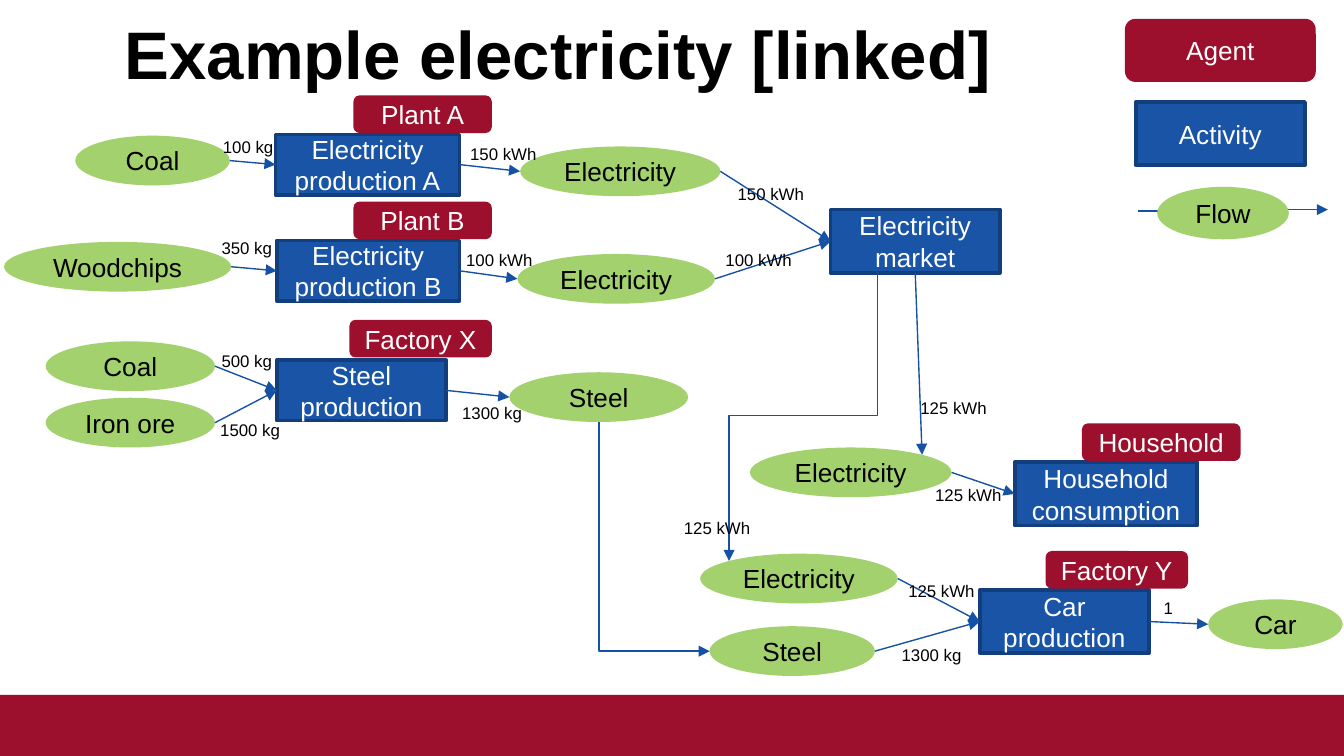
from pptx import Presentation
from pptx.dml.color import RGBColor
from pptx.enum.shapes import MSO_CONNECTOR as Link, MSO_SHAPE as Shape
from pptx.enum.text import MSO_ANCHOR as Anchor, MSO_AUTO_SIZE as AutoSize, PP_ALIGN as Align
from pptx.oxml.ns import qn
from pptx.util import Cm, Pt
from lxml.etree import SubElement

FONT = "Arial"
BLACK, WHITE, RED, LINK_BLUE = "000000", "FFFFFF", "9D102D", "1552A6"
STYLES = {
    "agent": dict(shape=Shape.ROUNDED_RECTANGLE, fill=RED, color=WHITE),
    "activity": dict(shape=Shape.RECTANGLE, fill="1954A6", color=WHITE, line="123E7B"),
    "flow": dict(shape=Shape.OVAL, fill="A2D16E", color=BLACK),
}
ACTIVITY_HEIGHT, PLANT_HEIGHT, FLOW_HEIGHT, AGENT_HEIGHT = 0.47, 0.45, 0.37, 0.28

# Lengths are in inches: left, top, width, height
LEGEND = [
    ("agent", "Agent", 8.37, 0.14, 1.42, 0.47),
    ("activity", "Activity", 8.45, 0.76, 1.26, 0.47),
    ("flow", "Flow", 8.61, 1.39, 0.98, 0.39),
]
LEGEND_LINKS = [((8.47, 1.57), (9.42, 1.57)), ((8.93, 1.56), (9.88, 1.56))]
ACTIVITIES = {
    "plant A": ("Electricity production A", 2.05, 1.0, 1.37, PLANT_HEIGHT),
    "plant B": ("Electricity production B", 2.06, 1.79, 1.36, PLANT_HEIGHT),
    "steelworks": ("Steel production", 2.06, 2.68, 1.26, PLANT_HEIGHT),
    "market": ("Electricity market", 6.18, 1.56, 1.26, ACTIVITY_HEIGHT),
    "home": ("Household consumption", 7.55, 3.44, 1.36, ACTIVITY_HEIGHT),
    "car plant": ("Car production", 7.29, 4.39, 1.26, ACTIVITY_HEIGHT),
}
FLOWS = {
    "coal A": ("Coal", 0.56, 1.01, 1.15),
    "woodchips": ("Woodchips", 0.03, 1.8, 1.69),
    "coal X": ("Coal", 0.34, 2.54, 1.26),
    "iron ore": ("Iron ore", 0.34, 2.96, 1.26),
    "power A": ("Electricity", 3.87, 1.09, 1.49),
    "power B": ("Electricity", 3.85, 1.89, 1.47),
    "steel out": ("Steel", 3.79, 2.77, 1.33),
    "power home": ("Electricity", 5.58, 3.33, 1.5),
    "power car": ("Electricity", 5.21, 4.12, 1.47),
    "steel in": ("Steel", 5.28, 4.66, 1.23),
    "car": ("Car", 8.99, 4.46, 1.0),
}
AGENTS = [
    ("Plant A", 2.63, 0.71, 1.03), ("Plant B", 2.63, 1.5, 1.03),
    ("Factory X", 2.6, 2.38, 1.06), ("Factory Y", 7.78, 4.1, 1.06),
    ("Household", 8.05, 3.15, 1.18),
]
SIDE_LINKS = [
    ("coal A", "plant A"), ("woodchips", "plant B"), ("coal X", "steelworks"),
    ("iron ore", "steelworks"), ("plant A", "power A"), ("plant B", "power B"),
    ("steelworks", "steel out"), ("power A", "market"), ("power B", "market"),
    ("power home", "home"), ("power car", "car plant"), ("steel in", "car plant"),
    ("car plant", "car"),
]
AMOUNTS = [
    ("100 kg", 1.56, 0.97), ("350 kg", 1.55, 1.72), ("500 kg", 1.55, 2.56),
    ("1500 kg", 1.54, 3.07), ("1300 kg", 3.34, 2.95), ("100 kWh", 3.37, 1.81),
    ("150 kWh", 3.4, 1.02), ("125 kWh", 6.86, 3.56), ("125 kWh", 6.66, 4.27),
    ("1300 kg", 6.61, 4.75), ("1", 8.56, 4.4), ("125 kWh", 6.75, 2.91),
    ("125 kWh", 4.99, 3.8), ("100 kWh", 5.3, 1.81), ("150 kWh", 5.39, 1.32),
]
AMOUNT_WIDTHS = {1: 0.27, 6: 0.58, 7: 0.65}
# Connection sites: share of width, share of height, index on rectangle, index on ellipse
SITES = {
    "left": (0, 0.5, 1, 2), "right": (1, 0.5, 3, 6), "bottom": (0.5, 1, 2, 4),
    "top left": (0.146, 0.146, None, 1), "top right": (0.854, 0.146, None, 7),
}


def inch(value):
    """Turn inches into a length."""
    return Cm(value * 2.54)


def rgb(code):
    """Turn a hex string into a colour."""
    return RGBColor.from_string(code)


def write(box, text, size=14, color=BLACK, bold=False, align=Align.LEFT,
          anchor=Anchor.MIDDLE, wrap=True, side=0.1):
    """Put one formatted paragraph into a box."""
    frame = box.text_frame
    frame.word_wrap = wrap
    frame.vertical_anchor = anchor
    frame.margin_left = frame.margin_right = inch(side)
    para = frame.paragraphs[0]
    para.alignment = align
    span = para.add_run()
    span.text = text
    span.font.name, span.font.size, span.font.bold = FONT, Pt(size), bold
    span.font.color.rgb = rgb(color)


def add_block(shape, place, fill, line=None):
    """Draw a filled shape, outlined if a line colour is given."""
    box = page.shapes.add_shape(shape, *map(inch, place))
    box.shadow.inherit = False
    box.fill.solid()
    box.fill.fore_color.rgb = rgb(fill)
    if line:
        box.line.color.rgb = rgb(line)
        box.line.width = Pt(2)
    else:
        box.line.fill.background()
    return box


def add_node(kind, text, *place):
    """Draw an agent, activity or flow with its text."""
    style = STYLES[kind]
    box = add_block(style["shape"], place, style["fill"], style.get("line"))
    write(box, text, color=style["color"], align=Align.CENTER, side=0.05)
    return box


def add_arrow(start, end, kind=Link.STRAIGHT):
    """Draw an arrow between two points."""
    arrow = page.shapes.add_connector(kind, *map(inch, (*start, *end)))
    arrow.line.color.rgb = rgb(LINK_BLUE)
    arrow.line.width = Pt(0.75)
    SubElement(arrow.line._get_or_add_ln(), qn("a:tailEnd"), type="triangle")
    SubElement(arrow._element.spPr, qn("a:effectLst"))
    return arrow


def site(name, side):
    """Give the point of a connection site on a node."""
    left, top, width, height = places[name]
    across, down = SITES[side][:2]
    return left + across * width, top + down * height


def join(source, target, out="right", into="left"):
    """Draw a straight arrow attached to two nodes."""
    arrow = add_arrow(site(source, out), site(target, into))
    for tag, name, side in (("a:stCxn", source, out), ("a:endCxn", target, into)):
        index = SITES[side][3 if name in FLOWS else 2]
        SubElement(arrow._element.nvCxnSpPr.cNvCxnSpPr, qn(tag),
                   id=str(nodes[name].shape_id), idx=str(index))


def add_elbow(start, end, preset, turn, flip=False):
    """Draw a bent arrow that leaves its start vertically."""
    (x1, y1), (x2, y2) = start, end
    middle_x, middle_y = (x1 + x2) / 2, (y1 + y2) / 2
    half_width, half_height = abs(y2 - y1) / 2, abs(x2 - x1) / 2
    arrow = add_arrow((middle_x - half_width, middle_y - half_height),
                      (middle_x + half_width, middle_y + half_height), Link.ELBOW)
    properties = arrow._element.spPr
    properties.find(qn("a:prstGeom")).set("prst", preset)
    frame = properties.find(qn("a:xfrm"))
    frame.set("rot", str(turn * 60000))
    if flip:
        frame.set("flipH", "1")


deck = Presentation()
deck.slide_width, deck.slide_height = inch(10), inch(5.625)
page = deck.slides.add_slide(deck.slide_layouts[6])

add_block(Shape.RECTANGLE, (0, 5.17, 10, 0.455), RED)
for start, end in LEGEND_LINKS:
    add_arrow(start, end)
title = page.shapes.add_textbox(*map(inch, (0.83, 0.09, 9.05, 0.6)))
write(title, "Example electricity [linked]", size=36, bold=True)
for item in LEGEND:
    add_node(*item)

nodes, places = {}, {}
for name, (text, *place) in ACTIVITIES.items():
    places[name] = place
    nodes[name] = add_node("activity", text, *place)
for name, (text, *place) in FLOWS.items():
    places[name] = (*place, FLOW_HEIGHT)
    nodes[name] = add_node("flow", text, *places[name])

for source, target in SIDE_LINKS:
    join(source, target)
join("market", "power home", out="bottom", into="top right")
add_elbow(site("steel out", "bottom"), site("steel in", "left"), "bentConnector2", 270, flip=True)
add_elbow((6.53, 2.01), site("power car", "top left"), "bentConnector3", 90)

for agent in AGENTS:
    add_node("agent", *agent, AGENT_HEIGHT)
for text, left, top in AMOUNTS:
    width = AMOUNT_WIDTHS.get(len(text), 0.7) if "kWh" not in text else 0.7
    label = page.shapes.add_textbox(*map(inch, (left, top, width, 0.25)))
    write(label, text, size=9, anchor=Anchor.TOP, wrap=False)
    label.text_frame.auto_size = AutoSize.SHAPE_TO_FIT_TEXT

deck.save("out.pptx")
